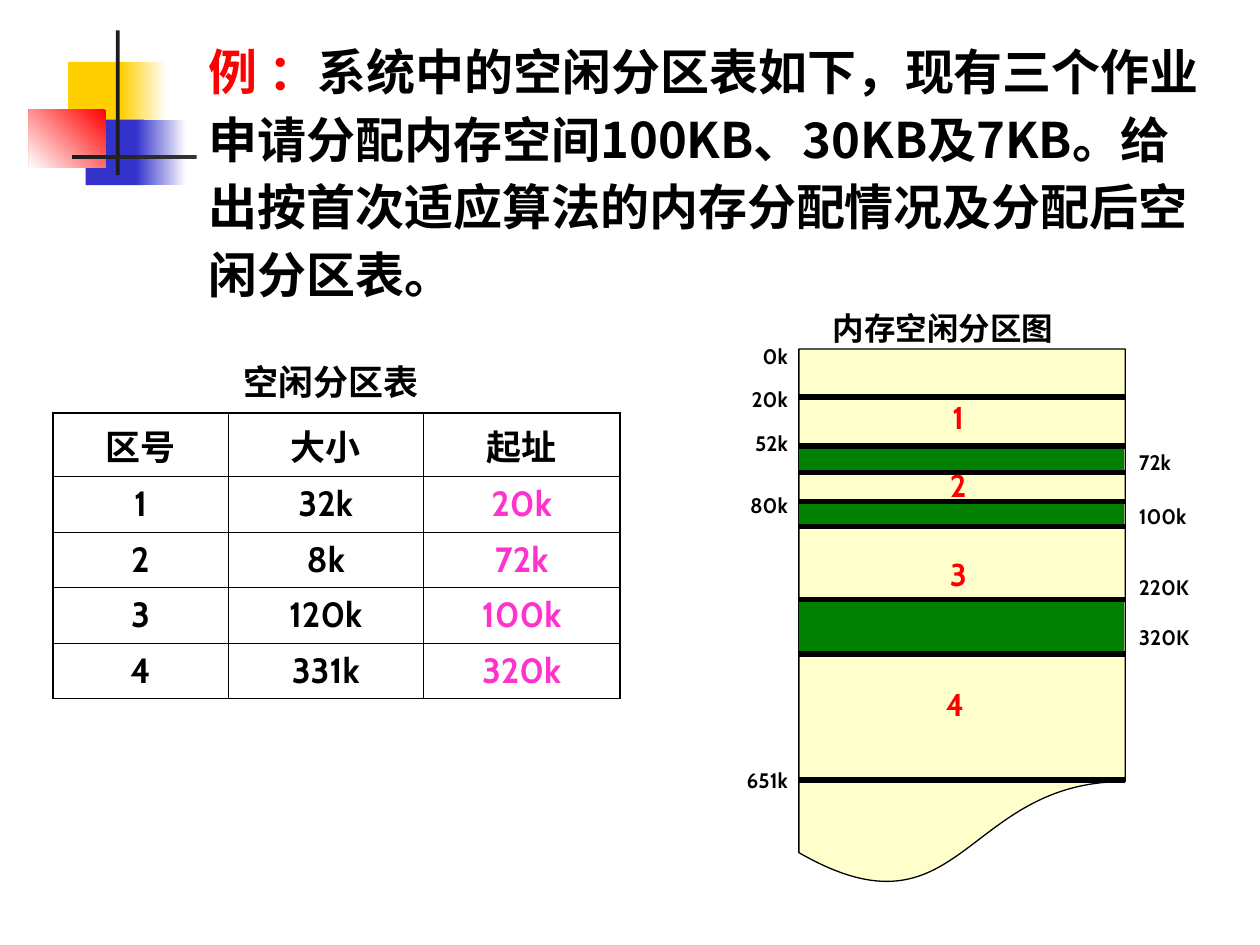
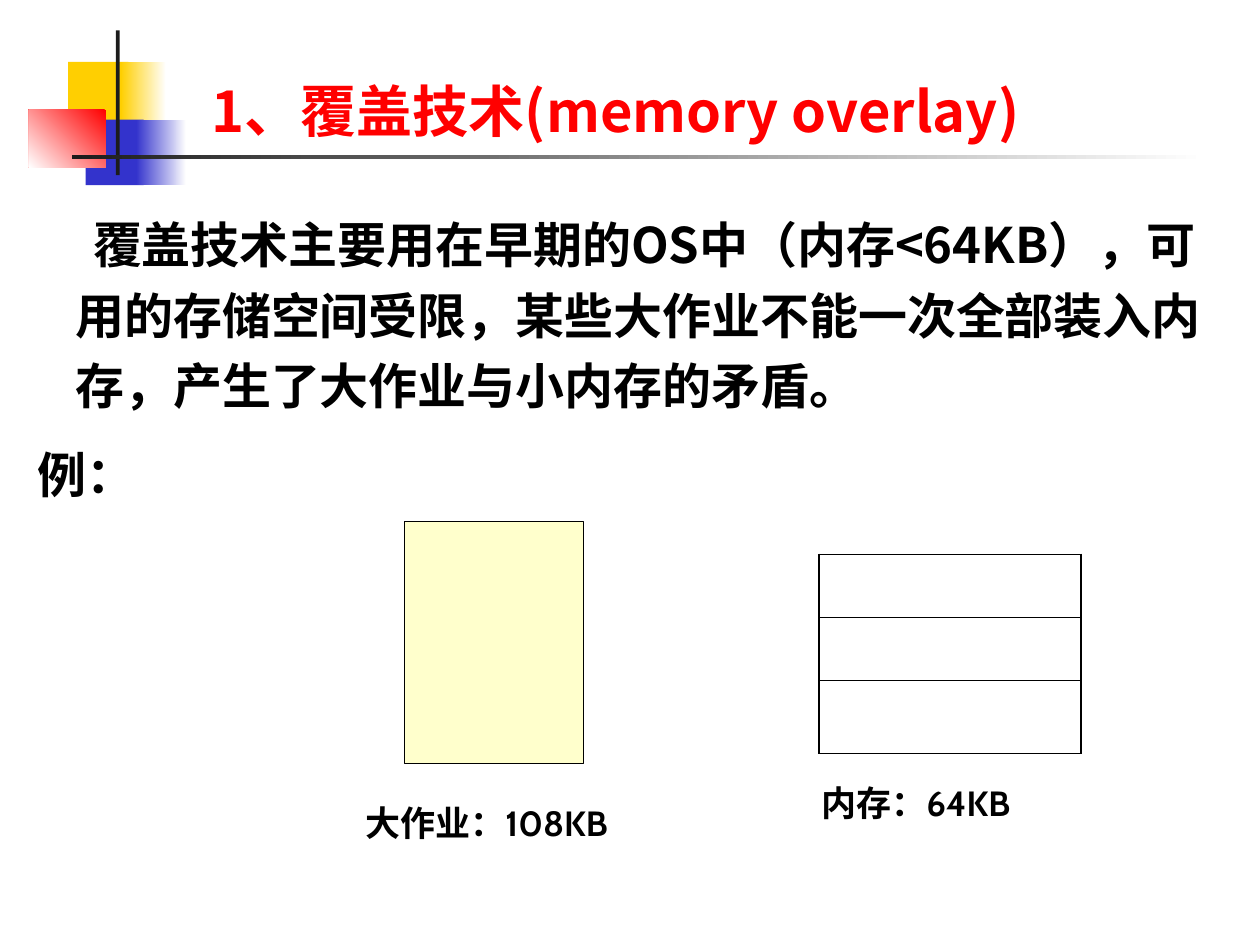
import pptx
import pptx.dml.color
import pptx.enum.shapes
import pptx.enum.text
import pptx.oxml
import pptx.oxml.ns
import pptx.util
from dataclasses import dataclass
from pptx.util import Inches


@dataclass(frozen=True)
class Theme:
    white: str = "FFFFFF"
    black: str = "000000"
    red: str = "FF0000"
    pink: str = "FF33CC"
    cream: str = "FFFFCC"
    green: str = "008000"
    yellow: str = "FFCF01"
    blue: str = "3333CC"
    charcoal: str = "1C1C1C"
    label_font: str = "Cabin"
    cjk_font: str = "Noto Sans CJK SC"
    serif_font: str = "Times New Roman"
    title_size: int = 32
    body_size: int = 28
    caption_size: int = 20
    zone_size: int = 18
    address_size: int = 12


theme = Theme()
rgb = pptx.dml.color.RGBColor.from_string
ALIGN = pptx.enum.text.PP_ALIGN
ANCHOR = pptx.enum.text.MSO_ANCHOR
RECTANGLE = pptx.enum.shapes.MSO_SHAPE.RECTANGLE


def write(frame, text, size=theme.caption_size, font=theme.label_font, color=theme.black,
          align=ALIGN.LEFT, anchor=ANCHOR.TOP, wrap=True, spacing=None, before=None,
          margin=0, indent=0, new=False):
    """Write one paragraph; text is a string or a list of (string, colour) runs."""
    frame.word_wrap = wrap
    frame.vertical_anchor = anchor
    paragraph = frame.add_paragraph() if new else frame.paragraphs[0]
    paragraph.alignment = align
    if spacing:
        paragraph.line_spacing = spacing
    if before:
        paragraph.space_before = pptx.util.Pt(before)
    if margin or indent:
        properties = paragraph._p.get_or_add_pPr()
        properties.set("marL", str(Inches(margin)))
        properties.set("indent", str(Inches(indent)))
    for words, run_color in [(text, color)] if isinstance(text, str) else text:
        run = paragraph.add_run()
        run.text = words
        run.font.size = pptx.util.Pt(size)
        run.font.bold = True
        run.font.name = font
        run.font.color.rgb = rgb(run_color)
        east_asian = pptx.oxml.parse_xml(
            f'<a:ea {pptx.oxml.ns.nsdecls("a")} typeface="{theme.cjk_font}"/>')
        run.font._element.find(pptx.oxml.ns.qn("a:latin")).addnext(east_asian)


def block(slide, box, fill, fade=None, angle=180, line=None, kind=RECTANGLE):
    """Draw a shape with a plain fill, or a gradient from fill to fade."""
    shape = slide.shapes.add_shape(kind, *map(Inches, box))
    shape.shadow.inherit = False
    if fade:
        shape.fill.gradient()
        shape.fill.gradient_angle = angle
        for stop, color, position in zip(shape.fill.gradient_stops, (fill, fade), (0, 1)):
            stop.color.rgb = rgb(color)
            stop.position = position
    else:
        shape.fill.solid()
        shape.fill.fore_color.rgb = rgb(fill)
    if line:
        shape.line.color.rgb = rgb(line)
        shape.line.width = pptx.util.Pt(0.75)
    else:
        shape.line.fill.background()
    return shape


deck = pptx.Presentation()
deck.slide_width, deck.slide_height = Inches(10), Inches(7.5)

# Shared decoration: coloured squares and crossing bars
partition_slide, overlay_slide = [deck.slides.add_slide(deck.slide_layouts[6]) for _ in range(2)]
for slide in (partition_slide, overlay_slide):
    block(slide, (0.54, 0.49, 0.48, 0.52), theme.yellow)
    block(slide, (0.96, 0.49, 0.36, 0.52), theme.white, fade=theme.yellow)
    block(slide, (0.68, 0.95, 0.46, 0.52), theme.blue)
    block(slide, (1.08, 0.95, 0.4, 0.52), theme.white, fade=theme.blue)
    block(slide, (0.23, 0.87, 0.61, 0.46), theme.red, fade=theme.white, angle=225)
    block(slide, (0.92, 0.24, 0.03, 1.15), theme.charcoal)
    block(slide, (0.57, 1.23, 9, 0.03), theme.white, fade=theme.charcoal)

# Slide 1: free partition table
free_partitions = [
    ("区号", "大小", "起址"),
    ("1", "32k", "20k"),
    ("2", "8k", "72k"),
    ("3", "120k", "100k"),
    ("4", "331k", "320k"),
]
partition_table = partition_slide.shapes.add_table(
    5, 3, Inches(0.42), Inches(3.28), Inches(4.5), Inches(2.26)).table
for column, width in zip(partition_table.columns, (1.39, 1.55, 1.56)):
    column.width = Inches(width)
for r, values in enumerate(free_partitions):
    partition_table.rows[r].height = Inches(0.44 if r else 0.5)
    for c, value in enumerate(values):
        write(partition_table.cell(r, c).text_frame, value, align=ALIGN.CENTER,
              color=theme.pink if r and c == 2 else theme.black)

table_caption = partition_slide.shapes.add_textbox(*map(Inches, (1.09, 2.81, 3.08, 0.44)))
write(table_caption.text_frame, "空闲分区表", align=ALIGN.CENTER)

# Slide 1: problem statement, covering the horizontal bar
problem = block(partition_slide, (1.56, 0.21, 8.08, 2.25), theme.white)
write(problem.text_frame, [
    ("例 ：", theme.red),
    ("系统中的空闲分区表如下，现有三个作业申请分配内存空间100KB、30KB及7KB。"
     "给出按首次适应算法的内存分配情况及分配后空闲分区表。", theme.black),
], size=theme.body_size, font=theme.cjk_font, spacing=1.15)

# Slide 1: memory map with used areas and boundaries
block(partition_slide, (6.34, 2.77, 2.59, 4.28), theme.cream, line=theme.black,
      kind=pptx.enum.shapes.MSO_SHAPE.FLOWCHART_DOCUMENT)
for top, height in ((3.56, 0.18), (4, 0.17), (4.77, 0.4)):
    block(partition_slide, (6.34, top, 2.58, height), theme.green)
for y in (3.15, 3.54, 3.75, 3.98, 4.18, 4.76, 5.19, 6.19):
    boundary = partition_slide.shapes.add_connector(
        pptx.enum.shapes.MSO_CONNECTOR.STRAIGHT,
        Inches(6.34), Inches(y), Inches(8.93), Inches(y))
    boundary.line.color.rgb = rgb(theme.black)
    boundary.line.width = pptx.util.Pt(3)
    boundary._element.spPr.append(
        pptx.oxml.parse_xml(f'<a:effectLst {pptx.oxml.ns.nsdecls("a")}/>'))

map_caption = partition_slide.shapes.add_textbox(*map(Inches, (6.51, 2.4, 2.22, 0.4)))
write(map_caption.text_frame, "内存空闲分区图", size=theme.zone_size, font=theme.serif_font)

# Slide 1: addresses, spaced by the distance between their centres
LINE_HEIGHT = 0.2
address_columns = [
    (5.27, 1.08, ALIGN.RIGHT,
     [("0k", 2.83), ("20k", 3.17), ("52k", 3.52), ("80k", 4.01), ("651k", 6.19)]),
    (8.94, 0.79, ALIGN.LEFT,
     [("72k", 3.67), ("100k", 4.1), ("220K", 4.66), ("320K", 5.06)]),
]
for left, width, align, addresses in address_columns:
    first, last = addresses[0][1], addresses[-1][1]
    column_box = partition_slide.shapes.add_textbox(
        Inches(left), Inches(first - 0.15), Inches(width), Inches(last - first + 0.3))
    previous = None
    for address, centre in addresses:
        gap = (centre - previous - LINE_HEIGHT) * 72 if previous else None
        write(column_box.text_frame, address, size=theme.address_size, align=align,
              before=gap, new=previous is not None)
        previous = centre

# Slide 1: zone numbers
for number, left, top in (("1", 7.46, 3.11), ("2", 7.44, 3.65),
                          ("3", 7.44, 4.36), ("4", 7.41, 5.39)):
    zone = partition_slide.shapes.add_textbox(*map(Inches, (left, top, 0.34, 0.4)))
    write(zone.text_frame, number, size=theme.zone_size, color=theme.red, wrap=False)

# Slide 2: title and explanation
title = overlay_slide.shapes.add_textbox(*map(Inches, (1.58, 0.36, 6.8, 0.83)))
write(title.text_frame, "1、覆盖技术(memory overlay)", size=theme.title_size,
      font=theme.cjk_font, color=theme.red, anchor=ANCHOR.BOTTOM)

explanation = overlay_slide.shapes.add_textbox(*map(Inches, (0.12, 1.56, 9.57, 3.45)))
write(explanation.text_frame,
      "覆盖技术主要用在早期的OS中（内存<64KB），可用的存储空间受限，"
      "某些大作业不能一次全部装入内存，产生了大作业与小内存的矛盾。",
      size=theme.body_size, font=theme.cjk_font, spacing=1.2, margin=0.38, indent=0.14)
write(explanation.text_frame, "例：", size=theme.body_size, font=theme.cjk_font,
      spacing=1.3, before=7, margin=0.08, new=True)

# Slide 2: large job beside the small memory
block(overlay_slide, (3.21, 4.14, 1.42, 1.92), theme.cream, line=theme.black)
memory_table = overlay_slide.shapes.add_table(
    3, 1, Inches(6.5), Inches(4.4), Inches(2.08), Inches(1.58)).table
for row, height in zip(memory_table.rows, (0.5, 0.5, 0.58)):
    row.height = Inches(height)
for label, left, top in (("大作业：108KB", 2.8, 6.31), ("内存：64KB", 6.42, 6.15)):
    caption = overlay_slide.shapes.add_textbox(*map(Inches, (left, top, 2.33, 0.44)))
    write(caption.text_frame, label)

# Both tables: no fill, thin inner rules, thicker outer frame
for table in (partition_table, memory_table):
    table.first_row = table.horz_banding = False
    last_row, last_column = len(table.rows) - 1, len(table.columns) - 1
    for r in range(last_row + 1):
        for c in range(last_column + 1):
            cell = table.cell(r, c)
            cell.vertical_anchor = ANCHOR.MIDDLE
            cell.fill.background()
            outer_sides = {"L": c == 0, "R": c == last_column, "T": r == 0, "B": r == last_row}
            for position, (side, outer) in enumerate(outer_sides.items()):
                width = pptx.util.Pt(1.08 if outer else 0.45)
                cell._tc.tcPr.insert(position, pptx.oxml.parse_xml(
                    f'<a:ln{side} {pptx.oxml.ns.nsdecls("a")} w="{width}"><a:solidFill>'
                    f'<a:srgbClr val="{theme.black}"/></a:solidFill></a:ln{side}>'))

deck.save("out.pptx")
